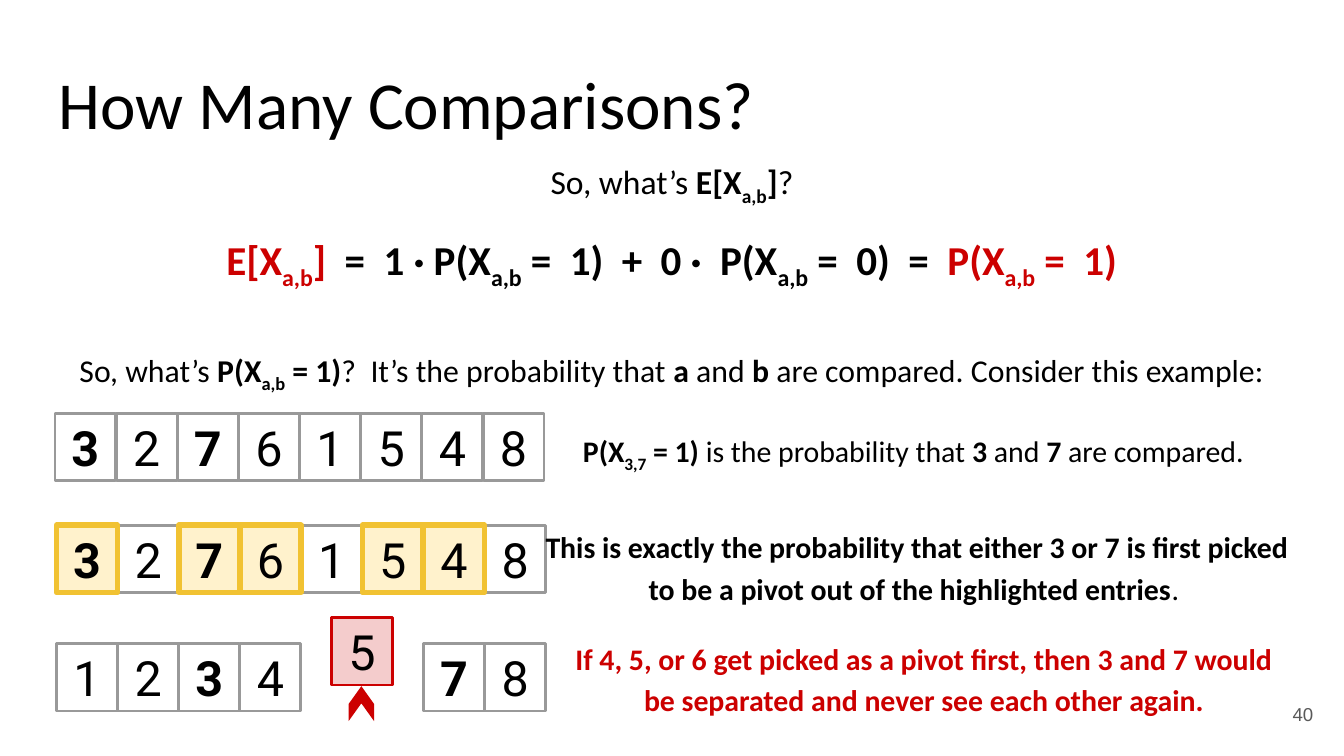
from pptx import Presentation
from pptx.dml.color import RGBColor
from pptx.enum.shapes import MSO_SHAPE as Shape
from pptx.enum.text import MSO_ANCHOR as Anchor, PP_ALIGN as Align
from pptx.util import Cm, Pt

BLACK, WHITE, RED, GREY = "000000", "FFFFFF", "CC0000", "999999"
PLAIN = (WHITE, GREY, 1.5)
HIGHLIGHT = ("FFF2CC", "F1C232", 3)
PIVOT = ("F4CCCC", RED, 1.5)
CELL_W, CELL_H, PITCH = 1.15, 1.27, 1.156


def color(hex_value):
    return RGBColor.from_string(hex_value)


def add_run(p, text, size, font, rgb=BLACK, bold=False, sub=False):
    r = p.add_run()
    r.text = text
    r.font.size = Pt(size)
    r.font.name = font
    r.font.bold = bold
    r.font.color.rgb = color(rgb)
    if sub:
        r._r.get_or_add_rPr().set("baseline", "-25000")


def add_shape(s, kind, box, fill=None, line=None, width=1):
    sp = s.shapes.add_shape(kind, *map(Cm, box))
    sp.shadow.inherit = False
    if fill:
        sp.fill.solid()
        sp.fill.fore_color.rgb = color(fill)
    else:
        sp.fill.background()
    if line:
        sp.line.color.rgb = color(line)
        sp.line.width = Pt(width)
    else:
        sp.line.fill.background()
    return sp


def set_text(sp, runs, size, font="Calibri", align=Align.CENTER,
             anchor=Anchor.MIDDLE, spacing=1.0):
    """Fill a shape with one paragraph; a run is (text, flags, colour).

    Flags: b for bold, s for subscript. The colour may be left out.
    """
    tf = sp.text_frame
    tf.word_wrap = True
    tf.vertical_anchor = anchor
    tf.margin_left = tf.margin_right = tf.margin_top = tf.margin_bottom = Cm(0.25)
    p = tf.paragraphs[0]
    p.alignment = align
    p.line_spacing = spacing
    for text, flags, *rgb in runs:
        add_run(p, text, size, font, *(rgb or [BLACK]),
                bold="b" in flags, sub="s" in flags)


def add_text(s, box, runs, size, **options):
    set_text(s.shapes.add_textbox(*map(Cm, box)), runs, size, **options)


def add_panel(s, box, runs, size, **options):
    set_text(add_shape(s, Shape.ROUNDED_RECTANGLE, box), runs, size, **options)


def add_cell(s, left, top, digit, style):
    sp = add_shape(s, Shape.RECTANGLE, (left, top, CELL_W, CELL_H), *style)
    set_text(sp, [(digit, "b" if digit in "37" else "")], 26, font="Roboto")


def add_array(s, left, top, digits, highlighted=""):
    """Draw a row of cells, with the highlighted ones in front."""
    cells = sorted(enumerate(digits), key=lambda cell: cell[1] in highlighted)
    for col, digit in cells:
        style = HIGHLIGHT if digit in highlighted else PLAIN
        add_cell(s, left + col * PITCH, top, digit, style)


def add_heading(s):
    add_text(s, (0.86, 1.04, 23.67, 1.8), [("How Many Comparisons?", "")], 36,
             align=Align.LEFT)
    add_text(s, (23.55, 12.95, 1.52, 1.09), [("40", "", "595959")], 10,
             font="Arial", align=Align.RIGHT)


def add_derivation(s):
    add_panel(s, (2, 2.82, 21.4, 1.32), [
        ("So, what’s ", ""), ("E[X", "b"), ("a,b", "bs"), ("]", "b"), ("?", ""),
    ], 18)
    add_panel(s, (2.41, 4.17, 20.57, 1.6), [
        ("E[X", "b", RED), ("a,b", "bs", RED), ("]", "b", RED),
        ("  =  1 · P(X", "b"), ("a,b", "bs"),
        (" =  1)  +  0 ·  P(X", "b"), ("a,b", "bs"), (" =  0)  =  ", "b"),
        ("P(X", "b", RED), ("a,b", "bs", RED), (" =  1)", "b", RED),
    ], 22)
    add_panel(s, (0.86, 5.92, 23.67, 2.11), [
        ("So, what’s ", ""), ("P(X", "b"), ("a,b", "bs"), (" = 1)", "b"),
        ("?  It’s the probability that ", ""), ("a", "b"), (" and ", ""),
        ("b", "b"), (" are compared. Consider this example:", ""),
    ], 17, spacing=1.15)


def add_arrays(s):
    add_array(s, 1.04, 7.82, "32761548")
    add_array(s, 1.07, 9.93, "32761548", highlighted="37654")
    add_array(s, 1.07, 12.17, "1234")
    add_array(s, 1.07 + 6 * PITCH, 12.17, "78")
    add_cell(s, 6.27, 11.68, "5", PIVOT)
    pointer = add_shape(s, Shape.CHEVRON, (6.5, 13.06, 0.66, 0.48), RED)
    pointer.adjustments[0] = 0.7
    pointer.rotation = 270


def add_explanations(s):
    explanations = [
        ((10.57, 7.82, 13.51, 1.6), [
            ("P(X", "b"), ("3,7", "bs"), (" = 1)", "b"),
            (" is the probability that ", ""), ("3", "b"), (" and ", ""),
            ("7 ", "b"), ("are compared. ", "")]),
        ((9.98, 9.65, 14.71, 2.11), [
            ("This is exactly the probability that either 3 or 7 is first "
             "picked to be a pivot out of the highlighted entries", "b"),
            (". ", "")]),
        ((10.39, 11.76, 14.15, 2), [
            ("If 4, 5, or 6 get picked as a pivot first, then 3 and 7 would "
             "be separated and never see each other again.", "b", RED)]),
    ]
    for box, runs in explanations:
        add_text(s, box, runs, 16, anchor=Anchor.TOP, spacing=1.15)


def main():
    prs = Presentation()
    prs.slide_width, prs.slide_height = Cm(25.4), Cm(14.29)
    s = prs.slides.add_slide(prs.slide_layouts[6])
    add_heading(s)
    add_derivation(s)
    add_arrays(s)
    add_explanations(s)
    prs.save("out.pptx")


if __name__ == "__main__":
    main()
